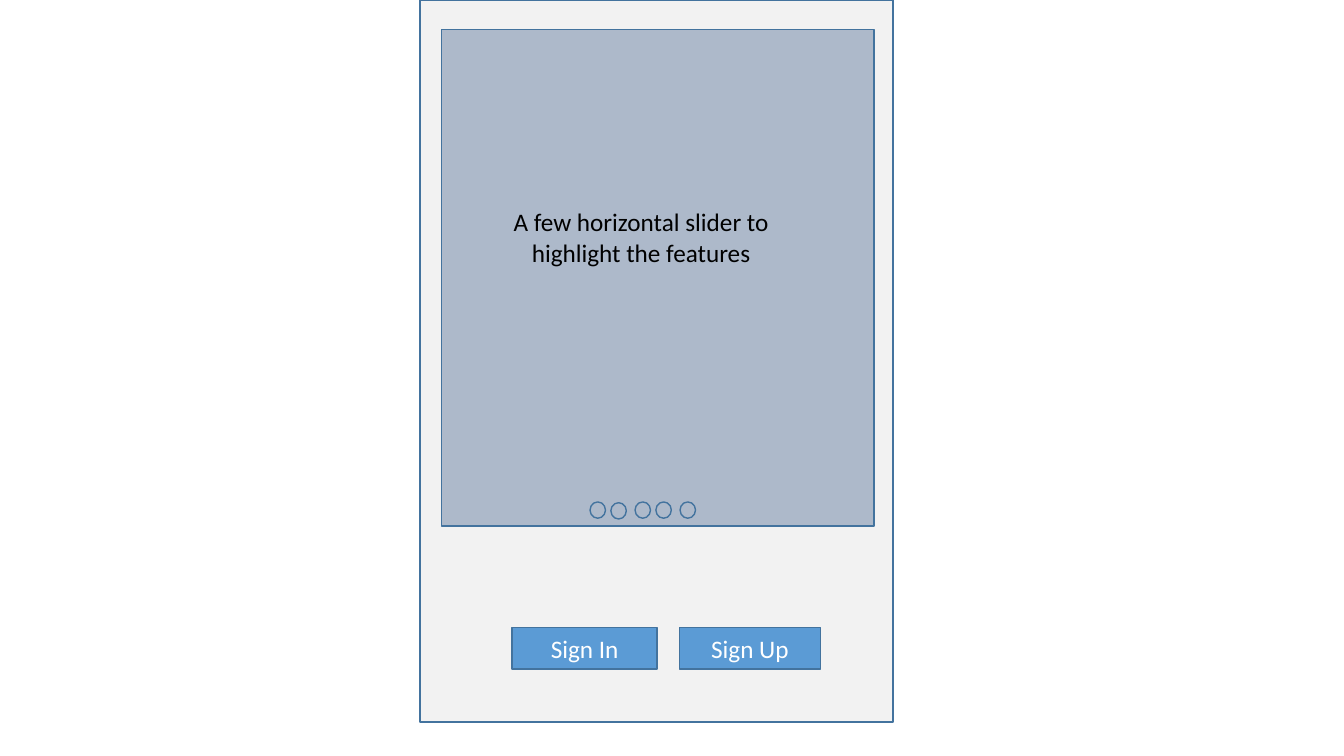
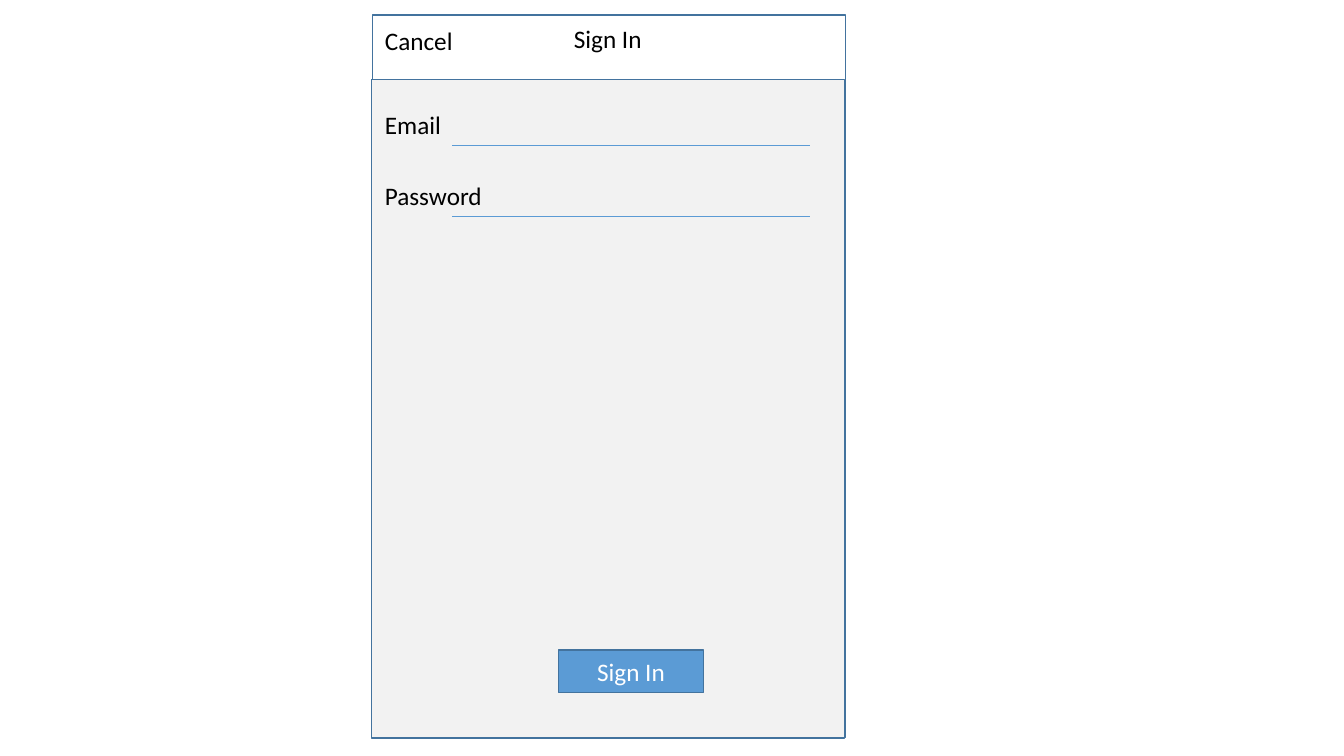
"""Build two wireframe slides: a welcome screen and a sign-in form."""
import dataclasses

import pptx
import pptx.dml.color
import pptx.enum.shapes
import pptx.enum.text
import pptx.oxml
import pptx.util


@dataclasses.dataclass(frozen=True)
class Theme:
    font: str = "Calibri"
    size: float = 18
    edge: float = 1
    rule: float = 0.5
    ink: str = "000000"
    white: str = "FFFFFF"
    page: str = "F2F2F2"
    panel: str = "ADB9CA"
    blue: str = "5B9BD5"
    line: str = "43739E"


theme = Theme()
color = pptx.dml.color.RGBColor.from_string
kinds = pptx.enum.shapes.MSO_SHAPE
align = pptx.enum.text.PP_ALIGN
anchor = pptx.enum.text.MSO_ANCHOR

deck = pptx.Presentation()
deck.slide_width = pptx.util.Inches(13.33)
deck.slide_height = pptx.util.Inches(7.5)


def place(x, y, wide, high):
    """Turn percent shares of the slide into lengths."""
    across, down = deck.slide_width / 100, deck.slide_height / 100
    return [round(part) for part in (x * across, y * down, wide * across, high * down)]


def style(shape, fill=None, text="", ink=theme.ink, side=align.LEFT, top=anchor.TOP, wrap=True):
    """Set the fill, edge and text of a shape."""
    if fill:
        shape.shadow.inherit = False
        shape.fill.solid()
        shape.fill.fore_color.rgb = color(fill)
        shape.line.color.rgb = color(theme.line)
        shape.line.width = pptx.util.Pt(theme.edge)
    if text:
        frame = shape.text_frame
        frame.text = text
        frame.word_wrap = wrap
        frame.auto_size = pptx.enum.text.MSO_AUTO_SIZE.NONE
        frame.vertical_anchor = top
        frame.paragraphs[0].alignment = side
        font = frame.paragraphs[0].runs[0].font
        font.name = theme.font
        font.size = pptx.util.Pt(theme.size)
        font.color.rgb = color(ink)


home = deck.slides.add_slide(deck.slide_layouts[6])
form = deck.slides.add_slide(deck.slide_layouts[5])

for slide, fill, spot in (
    (home, theme.page, (31.25, 0, 35.2, 95.5)),
    (home, theme.panel, (32.85, 3.87, 32.2, 65.7)),
    (form, theme.white, (27.7, 2, 35.2, 95.6)),
    (form, theme.page, (27.65, 10.5, 35.2, 87.1)),
):
    style(slide.shapes.add_shape(kinds.RECTANGLE, *place(*spot)), fill)

for slide, label, spot in (
    (home, "Sign In", (38.1, 83, 10.8, 5.5)),
    (home, "Sign Up", (50.55, 83, 10.5, 5.5)),
    (form, "Sign In", (41.55, 86, 10.8, 5.6)),
):
    button = slide.shapes.add_shape(kinds.RECTANGLE, *place(*spot))
    style(button, theme.blue, label, theme.white, align.CENTER, anchor.MIDDLE)

dots = home.shapes.add_group_shape()
for x, y in ((43.9, 66.4), (45.45, 66.5), (47.25, 66.4), (48.8, 66.4), (50.6, 66.4)):
    style(dots.shapes.add_shape(kinds.OVAL, *place(x, y, 1.15, 2.15)), theme.panel)

pitch = home.shapes.add_textbox(*place(37.35, 26.67, 20.7, 9.45))
style(pitch, text="A few horizontal slider to highlight the features", side=align.CENTER)

title = form.shapes.title
title.left, title.top, title.width, title.height = place(41.95, 2.4, 6.6, 5.35)
style(title, text="Sign In", wrap=False)
title.element.getparent().append(title.element)

for label, y, wide in (("Cancel", 2.67, 6.6), ("Email", 13.8, 5.7), ("Password", 23.2, 8.8)):
    style(form.shapes.add_textbox(*place(27.9, y, wide, 5.35)), text=label, wrap=False)

for y in (19.2, 28.6):
    start, level, end, low = place(33.65, y, 60.25, y)
    rule = form.shapes.add_connector(
        pptx.enum.shapes.MSO_CONNECTOR.STRAIGHT, start, level, end, low
    )
    rule.line.color.rgb = color(theme.blue)
    rule.line.width = pptx.util.Pt(theme.rule)
    rule.element.spPr.append(pptx.oxml.parse_xml(
        '<a:effectLst xmlns:a="http://schemas.openxmlformats.org/drawingml/2006/main"/>'
    ))

deck.save("out.pptx")
